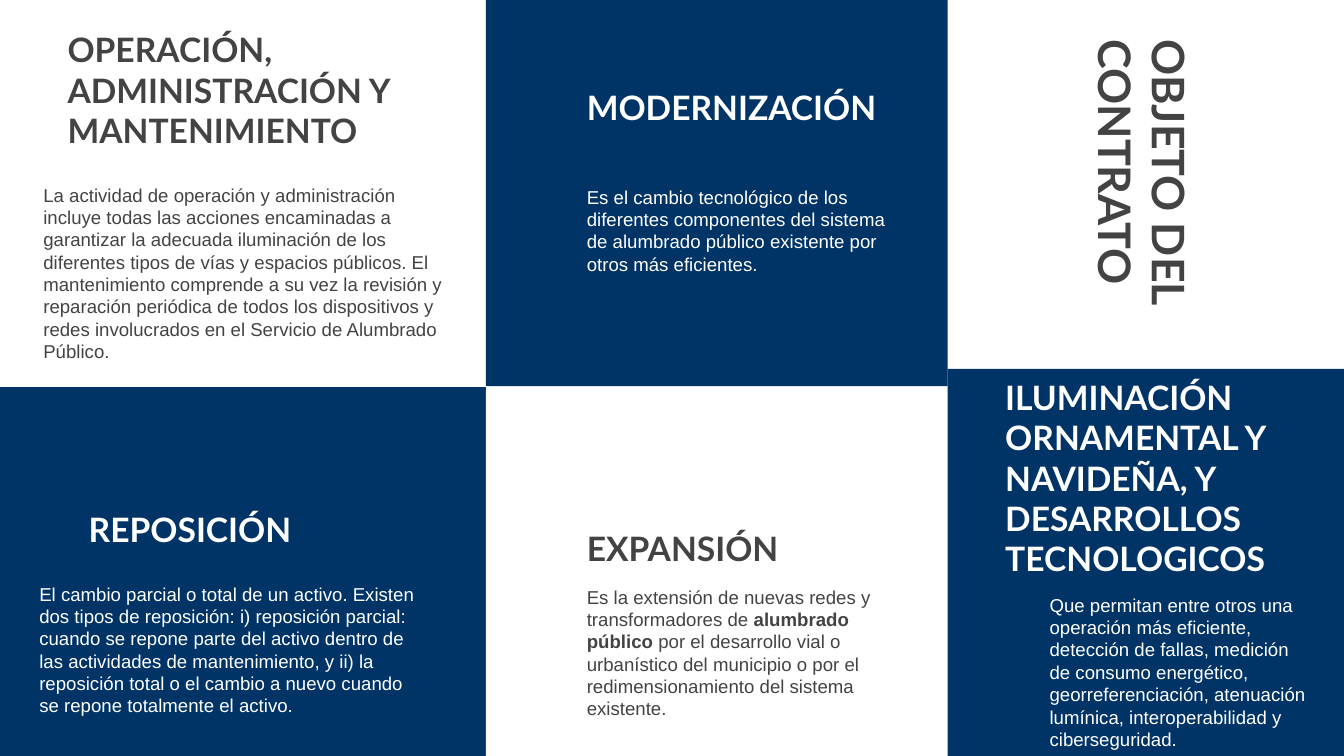
from dataclasses import dataclass

from pptx import Presentation
from pptx.dml.color import RGBColor
from pptx.enum.shapes import MSO_SHAPE
from pptx.enum.text import MSO_ANCHOR
from pptx.util import Inches, Pt

RECT = MSO_SHAPE.RECTANGLE
TOP, MIDDLE, BOTTOM = MSO_ANCHOR.TOP, MSO_ANCHOR.MIDDLE, MSO_ANCHOR.BOTTOM


@dataclass(frozen=True)
class Theme:
    """Colours, fonts and type sizes of the slide."""
    navy: RGBColor = RGBColor(0x00, 0x33, 0x66)
    white: RGBColor = RGBColor(0xFF, 0xFF, 0xFF)
    gray: RGBColor = RGBColor(0x43, 0x43, 0x43)
    heading_font: str = "Lato"
    body_font: str = "Arial"
    title_size: float = 32
    heading_size: float = 24
    body_size: float = 13.3
    inset: float = 0.13


THEME = Theme()

PANELS = [
    ((4.82, -0.01, 4.58, 3.84), THEME.navy),
    ((0, 3.84, 4.82, 3.66), THEME.navy),
    ((4.82, 3.86, 4.58, 3.66), THEME.white),
    ((9.4, 3.66, 3.94, 3.84), THEME.navy),
]

SECTIONS = [
    (THEME.gray, (0.54, 0.68, 3.83, 0.94), "OPERACIÓN, ADMINISTRACIÓN Y MANTENIMIENTO",
     (0.3, 1.69, 4.32, 0.78),
     [("La actividad de operación y administración incluye todas las acciones "
       "encaminadas a garantizar la adecuada iluminación de los diferentes tipos de "
       "vías y espacios públicos. El mantenimiento comprende a su vez la revisión y "
       "reparación periódica de todos los dispositivos y redes involucrados en el "
       "Servicio de Alumbrado Público.", False)]),
    (THEME.white, (5.69, 0.45, 3.43, 0.94), "MODERNIZACIÓN",
     (5.69, 1.71, 3.28, 1.09),
     [("Es el cambio tecnológico de los diferentes componentes del sistema de "
       "alumbrado público existente por otros más eficientes.", False)]),
    (THEME.white, (0.75, 4.64, 3.83, 0.94), "REPOSICIÓN",
     (0.26, 5.65, 4.02, 1.38),
     [("El cambio parcial o total de un activo. Existen dos tipos de reposición: "
       "i) reposición parcial: cuando se repone parte del activo dentro de las "
       "actividades de mantenimiento, y ii) la reposición total o el cambio a nuevo "
       "cuando se repone totalmente el activo.", False)]),
    (THEME.gray, (5.69, 4.83, 3.28, 0.94), "EXPANSIÓN",
     (5.69, 5.68, 3.28, 1.09),
     [("Es la extensión de nuevas redes y transformadores de ", False),
      ("alumbrado público", True),
      (" por el desarrollo vial o urbanístico del municipio o por el "
       "redimensionamiento del sistema existente.", False)]),
    (THEME.white, (9.84, 4.93, 3.38, 0.94),
     "ILUMINACIÓN ORNAMENTAL Y NAVIDEÑA, Y DESARROLLOS TECNOLOGICOS",
     (10.28, 5.76, 2.82, 1.09),
     [("Que permitan entre otros una operación más eficiente, detección de fallas, "
       "medición de consumo energético, georreferenciación, atenuación lumínica, "
       "interoperabilidad y ciberseguridad.", False)]),
]


def add_panel(s, box, color):
    """Add a plain rectangle of one colour."""
    sp = s.shapes.add_shape(RECT, *map(Inches, box))
    sp.shadow.inherit = False
    sp.fill.solid()
    sp.fill.fore_color.rgb = color
    sp.line.fill.background()


def add_text(s, box, runs, font, size, color, anchor):
    """Add a wrapped text box holding one paragraph of (text, bold) runs."""
    sp = s.shapes.add_textbox(*map(Inches, box))
    tf = sp.text_frame
    tf.word_wrap = True
    tf.vertical_anchor = anchor
    tf.margin_left = tf.margin_right = Inches(THEME.inset)
    tf.margin_top = tf.margin_bottom = Inches(THEME.inset)
    p = tf.paragraphs[0]
    for text, bold in runs:
        r = p.add_run()
        r.text = text
        r.font.name = font
        r.font.size = Pt(size)
        r.font.bold = bold
        r.font.color.rgb = color
    return sp


def add_heading(s, box, text, size, color, anchor):
    """Add a bold heading."""
    return add_text(s, box, [(text, True)], THEME.heading_font, size, color, anchor)


def add_section(s, color, heading_box, heading, body_box, body):
    """Add a heading and its description."""
    add_heading(s, heading_box, heading, THEME.heading_size, color, BOTTOM)
    add_text(s, body_box, body, THEME.body_font, THEME.body_size, color, TOP)


def main():
    """Build and save the slide."""
    prs = Presentation()
    prs.slide_width, prs.slide_height = Inches(13.33), Inches(7.5)
    s = prs.slides.add_slide(prs.slide_layouts[6])
    title = add_heading(s, (9.21, 2.03, 4.25, 0.71), "OBJETO DEL CONTRATO",
                        THEME.title_size, THEME.gray, MIDDLE)
    title.rotation = 90
    for box, color in PANELS:
        add_panel(s, box, color)
    for section in SECTIONS:
        add_section(s, *section)
    prs.save("out.pptx")


if __name__ == "__main__":
    main()
